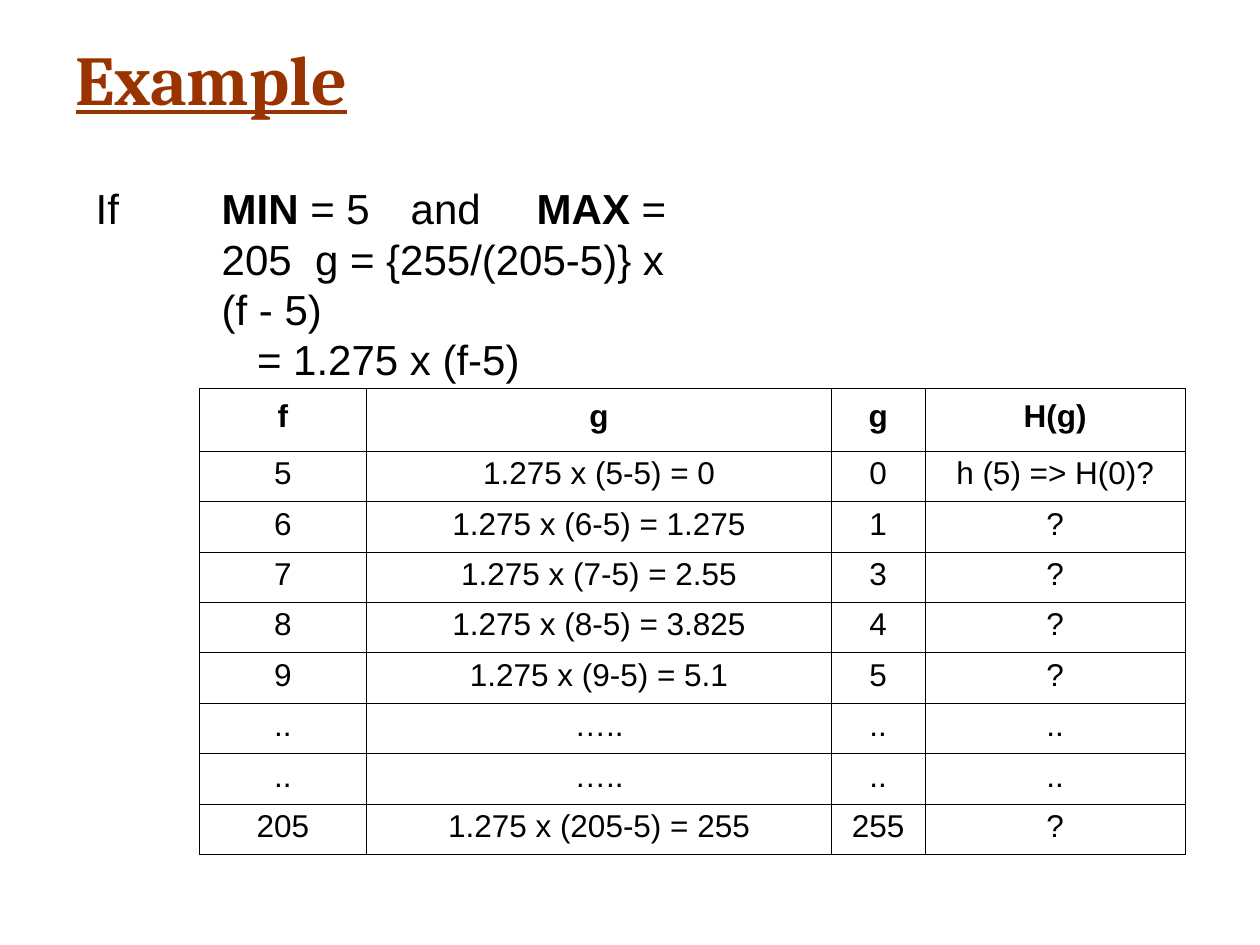
import pptx
import pptx.util
import pptx.dml.color
import pptx.enum.text
import pptx.oxml.ns
import lxml.etree

Inches = pptx.util.Inches
Pt = pptx.util.Pt
RGBColor = pptx.dml.color.RGBColor

RUST = RGBColor(0x99, 0x33, 0x00)
BLACK = RGBColor(0x00, 0x00, 0x00)
WHITE = RGBColor(0xFF, 0xFF, 0xFF)

TITLE = "Example"
PREMISE = [
    ("If\t", False),
    ("MIN ", True),
    ("= 5\tand\t", False),
    ("MAX ", True),
    ("= 205  g = {255/(205-5)} x (f - 5)", False),
]
RESULT = [("= 1.275 x (f-5)", False)]
TAB_STOPS = [0.38, 2.01, 3.01]

TABLE_ROWS = [
    ("f", "g", "g", "H(g)"),
    ("5", "1.275 x (5-5) = 0", "0", "h (5) => H(0)?"),
    ("6", "1.275 x (6-5) = 1.275", "1", "?"),
    ("7", "1.275 x (7-5) = 2.55", "3", "?"),
    ("8", "1.275 x (8-5) = 3.825", "4", "?"),
    ("9", "1.275 x (9-5) = 5.1", "5", "?"),
    ("..", "…..", "..", ".."),
    ("..", "…..", "..", ".."),
    ("205", "1.275 x (205-5) = 255", "255", "?"),
]
COLUMN_WIDTHS = [1.33, 3.69, 0.74, 2.07]
HEADER_HEIGHT, ROW_HEIGHT = 0.5, 0.4
HEADER_INSET, ROW_INSET = 0.09, 0.04


def add_element(parent, tag, **attributes):
    element = lxml.etree.SubElement(parent, pptx.oxml.ns.qn(tag))
    for name, value in attributes.items():
        element.set(name, str(value))
    return element


def add_run(paragraph, text, size, bold=False, font="Arial", color=BLACK):
    run = paragraph.add_run()
    run.text = text
    run.font.name = font
    run.font.size = Pt(size)
    run.font.bold = bold
    run.font.color.rgb = color
    return run


def add_text_frame(slide, left, top, width, height):
    box = slide.shapes.add_textbox(
        Inches(left), Inches(top), Inches(width), Inches(height))
    frame = box.text_frame
    frame.word_wrap = True
    frame.margin_left = frame.margin_right = frame.margin_bottom = 0
    frame.margin_top = Inches(0.01)
    return frame


def set_indent(paragraph, left, first_line=0, tab_stops=()):
    properties = paragraph._p.get_or_add_pPr()
    properties.set("marL", str(Inches(left)))
    properties.set("indent", str(Inches(first_line)))
    if tab_stops:
        tabs = add_element(properties, "a:tabLst")
        for stop in tab_stops:
            add_element(tabs, "a:tab", pos=Inches(stop), algn="l")


def set_borders(cell):
    properties = cell._tc.get_or_add_tcPr()
    for side in ("a:lnL", "a:lnR", "a:lnT", "a:lnB"):
        line = add_element(properties, side, w=Pt(0.25))
        fill = add_element(line, "a:solidFill")
        add_element(fill, "a:srgbClr", val=BLACK)


def add_title(slide):
    frame = add_text_frame(slide, 0.59, 0.27, 2.3, 0.69)
    paragraph = frame.paragraphs[0]
    set_indent(paragraph, 0.01)
    run = add_run(paragraph, TITLE, 40, True, "Cambria", RUST)
    run.font.underline = True


def add_formula(slide):
    frame = add_text_frame(slide, 0.75, 1.44, 4.7, 1.23)
    premise = frame.paragraphs[0]
    set_indent(premise, 1.01, -1, TAB_STOPS)
    result = frame.add_paragraph()
    set_indent(result, 1.29)
    for paragraph, runs in ((premise, PREMISE), (result, RESULT)):
        for text, bold in runs:
            add_run(paragraph, text, 24, bold)


def add_value_table(slide):
    heights = [HEADER_HEIGHT] + [ROW_HEIGHT] * (len(TABLE_ROWS) - 1)
    table = slide.shapes.add_table(
        len(heights), len(COLUMN_WIDTHS), Inches(1.58), Inches(3.08),
        Inches(sum(COLUMN_WIDTHS)), Inches(sum(heights))).table
    for column, width in zip(table.columns, COLUMN_WIDTHS):
        column.width = Inches(width)
    for row_index, (texts, height) in enumerate(zip(TABLE_ROWS, heights)):
        header = row_index == 0
        table.rows[row_index].height = Inches(height)
        for column_index, text in enumerate(texts):
            cell = table.cell(row_index, column_index)
            cell.margin_left = cell.margin_right = cell.margin_bottom = 0
            cell.margin_top = Inches(HEADER_INSET if header else ROW_INSET)
            set_borders(cell)
            cell.fill.solid()
            cell.fill.fore_color.rgb = WHITE
            paragraph = cell.text_frame.paragraphs[0]
            paragraph.alignment = pptx.enum.text.PP_ALIGN.CENTER
            add_run(paragraph, text, 18, header)


def main():
    presentation = pptx.Presentation()
    presentation.slide_width = Inches(10)
    presentation.slide_height = Inches(7.5)
    slide = presentation.slides.add_slide(presentation.slide_layouts[6])
    add_title(slide)
    add_formula(slide)
    add_value_table(slide)
    presentation.save("out.pptx")


if __name__ == "__main__":
    main()
